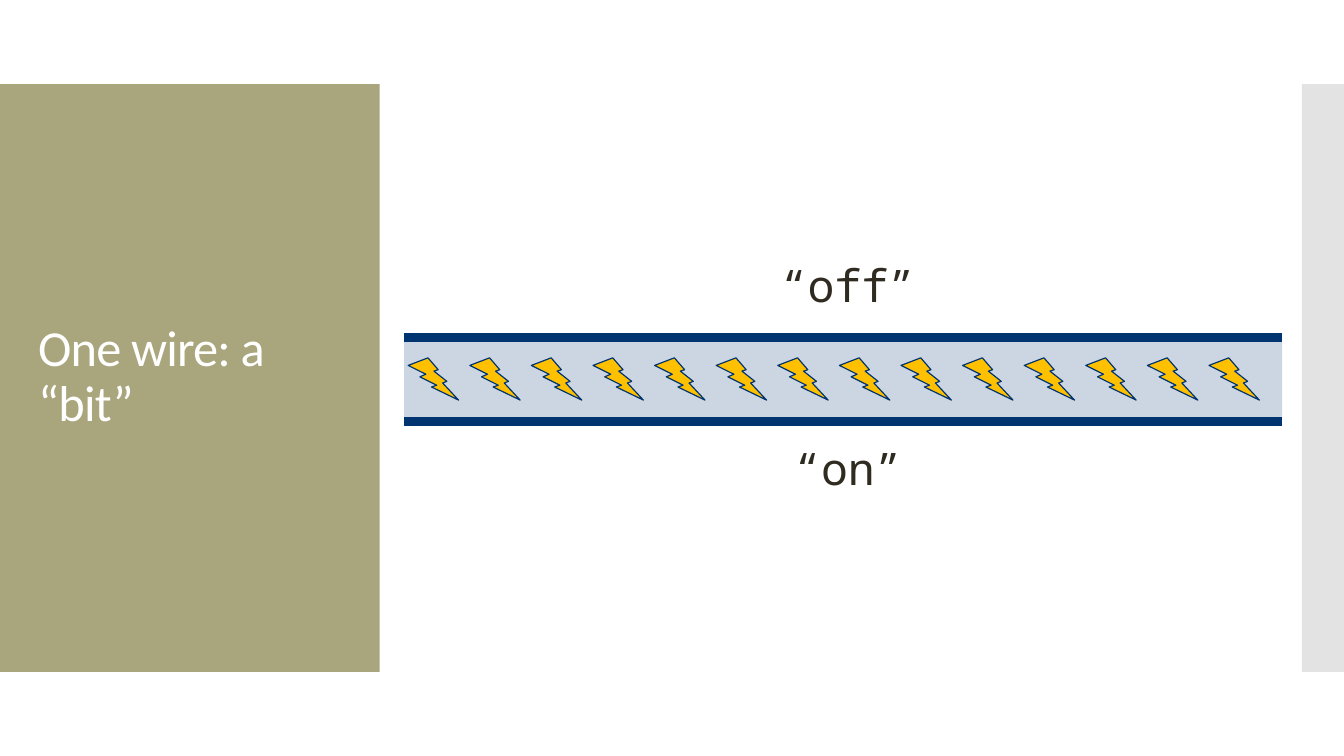
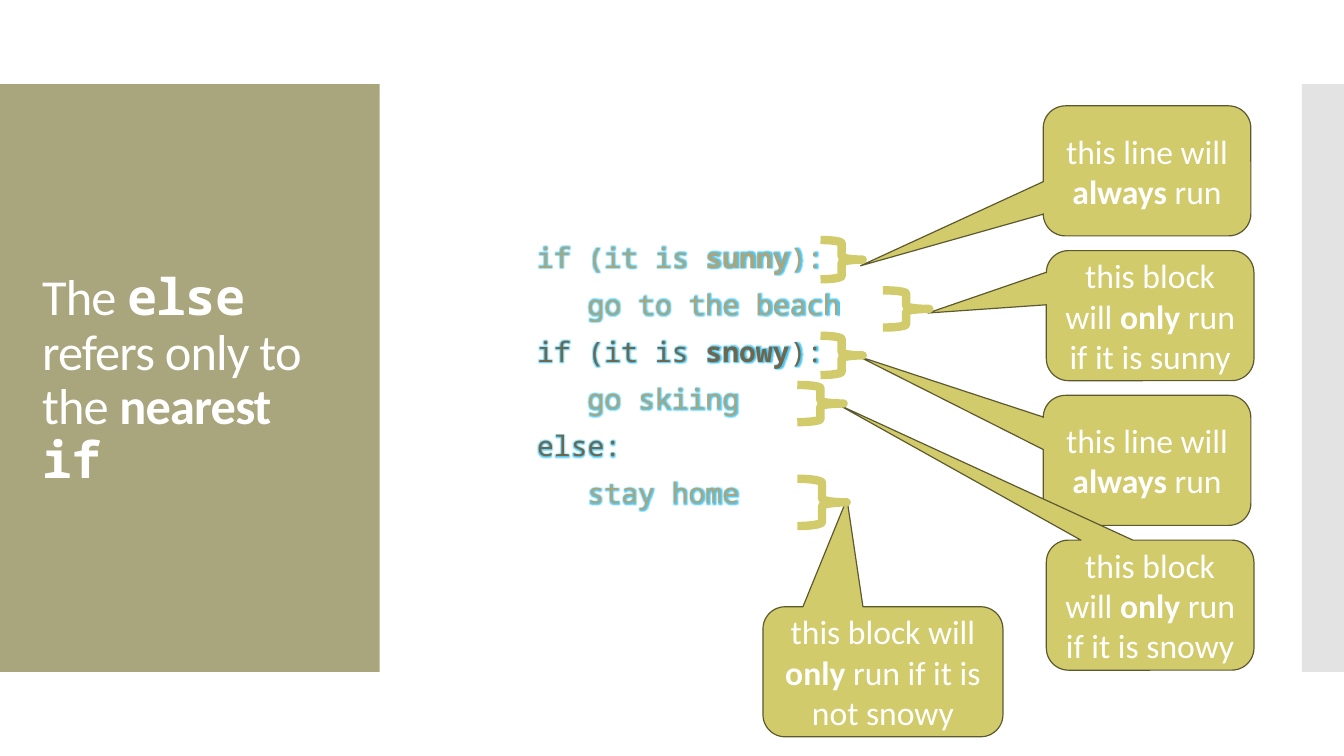
import pptx
import pptx.dml.color
import pptx.enum.shapes
import pptx.enum.text
import pptx.oxml
import pptx.oxml.ns
import pptx.util

Pt = pptx.util.Pt
SHAPE = pptx.enum.shapes.MSO_SHAPE
ALIGN = pptx.enum.text.PP_ALIGN
ANCHOR = pptx.enum.text.MSO_ANCHOR

SANS, MONO = "Calibri", "Noto Sans Mono"
WHITE, INK, SAGE, GREY = "FFFFFF", "2F2B20", "A9A57C", "C8C8C8"
NAVY, AMBER, OLIVE = "003470", "FFC000", "6F664C"
LIME, LIME_EDGE, GLOW = "D2CB6C", "5C592F", "4CC8F4"


def color(value):
    return pptx.dml.color.RGBColor.from_string(value)


def xml(tag, attributes="", inner=""):
    namespace = pptx.oxml.ns.nsdecls("a")
    return pptx.oxml.parse_xml(f"<a:{tag} {namespace} {attributes}>{inner}</a:{tag}>")


class Deck:
    def __init__(self):
        self.presentation = pptx.Presentation()
        self.presentation.slide_width = Pt(960)
        self.presentation.slide_height = Pt(540)
        self.slide = None

    def new_slide(self):
        """Start a slide with the side panel and the right-hand strip."""
        self.slide = self.presentation.slides.add_slide(self.presentation.slide_layouts[6])
        self.shape(SHAPE.RECTANGLE, 0, 60, 271.2, 420, SAGE)
        self.shape(SHAPE.RECTANGLE, 930, 60, 30, 420, GREY, alpha=50)

    def shape(self, kind, left, top, width, height, fill=None, line=None,
              weight=0.85, alpha=None, parent=None):
        shapes = (parent or self.slide).shapes
        shape = shapes.add_shape(kind, Pt(left), Pt(top), Pt(width), Pt(height))
        shape.shadow.inherit = False
        if fill:
            shape.fill.solid()
            shape.fill.fore_color.rgb = color(fill)
        else:
            shape.fill.background()
        if alpha:
            for element in shape.fill._xPr.iter(pptx.oxml.ns.qn("a:srgbClr")):
                element.append(xml("alpha", f'val="{alpha * 1000}"'))
        if line:
            shape.line.color.rgb = color(line)
            shape.line.width = Pt(weight)
        else:
            shape.line.fill.background()
        return shape

    def line(self, left, right, y, line, weight):
        connector = self.slide.shapes.add_connector(
            pptx.enum.shapes.MSO_CONNECTOR.STRAIGHT, Pt(left), Pt(y), Pt(right), Pt(y))
        connector.line.color.rgb = color(line)
        connector.line.width = Pt(weight)
        connector._element.spPr.append(xml("effectLst"))

    def runs(self, paragraph, parts, size, ink):
        """Each part is (text, bold, font name)."""
        for text, bold, name in parts:
            run = paragraph.add_run()
            run.text = text
            run.font.size = Pt(size)
            run.font.bold = bold
            run.font.name = name
            run.font.color.rgb = color(ink)

    def text_box(self, left, top, width, height, anchor=ANCHOR.MIDDLE):
        box = self.slide.shapes.add_textbox(Pt(left), Pt(top), Pt(width), Pt(height))
        box.text_frame.word_wrap = True
        box.text_frame.vertical_anchor = anchor
        return box.text_frame

    def title(self, left, top, width, height, parts):
        paragraph = self.text_box(left, top, width, height).paragraphs[0]
        paragraph.line_spacing = 0.9
        self.runs(paragraph, parts, 36, WHITE)
        for run in paragraph.runs:
            run._r.get_or_add_rPr().set("spc", "-60")

    def label(self, center, top, text):
        text_frame = self.text_box(center - 60, top, 120, 46, ANCHOR.TOP)
        paragraph = text_frame.paragraphs[0]
        paragraph.alignment = ALIGN.CENTER
        self.runs(paragraph, [(text, False, MONO)], 32, INK)

    def code(self, left, top, width, height, lines):
        """Each line is (ink, parts); the text has a soft glow."""
        text_frame = self.text_box(left, top, width, height)
        for index, (ink, parts) in enumerate(lines):
            paragraph = text_frame.add_paragraph() if index else text_frame.paragraphs[0]
            properties = paragraph._p.get_or_add_pPr()
            properties.set("marL", str(Pt(72)))
            properties.set("indent", "0")
            paragraph.line_spacing = 0.9
            if index:
                paragraph.space_before = Pt(12)
            self.runs(paragraph, [(text, bold, MONO) for text, bold in parts], 20, ink)
            for run in paragraph.runs:
                fill = run._r.rPr.find(pptx.oxml.ns.qn("a:solidFill"))
                fill.addnext(xml("effectLst", "", f'<a:glow rad="{Pt(3)}">'
                                 f'<a:srgbClr val="{GLOW}"/></a:glow>'))

    def callout(self, left, top, width, tip, before, strong, after):
        """The tip is measured from the centre, in widths and heights."""
        shape = self.shape(SHAPE.ROUNDED_RECTANGULAR_CALLOUT, left, top, width, 92.9,
                           LIME, LIME_EDGE)
        shape.adjustments[0], shape.adjustments[1] = tip
        shape.adjustments[2] = 0.17
        shape.text_frame.word_wrap = True
        shape.text_frame.vertical_anchor = ANCHOR.MIDDLE
        paragraph = shape.text_frame.paragraphs[0]
        paragraph.alignment = ALIGN.CENTER
        parts = [(before, False, SANS), (strong, True, SANS), (after, False, SANS)]
        self.runs(paragraph, parts, 24, WHITE)

    def brace(self, left, top, width, height):
        self.shape(SHAPE.RIGHT_BRACE, left, top, width, height, line=LIME, weight=6)


def wire_slide(deck):
    deck.new_slide()
    wire_left, wire_right, wire_top = 288.7, 915.8, 241.2
    deck.shape(SHAPE.RECTANGLE, wire_left, wire_top, wire_right - wire_left, 57, NAVY, alpha=20)
    deck.title(20.2, 88.6, 231.8, 362.2, [("One wire: a “bit”", False, SANS)])
    for y in (wire_top, wire_top + 59.8):
        deck.line(wire_left, wire_right, y, NAVY, 6)

    # Row of bolts along the wire
    bolts = deck.slide.shapes.add_group_shape()
    for index in range(14):
        deck.shape(SHAPE.LIGHTNING_BOLT, 291.6 + 44 * index, 255.6, 36, 30.2,
                   AMBER, NAVY, parent=bolts)

    deck.label(605.7, 180.7, "“off”")
    deck.label(605.7, 311, "“on”")


def else_slide(deck):
    deck.new_slide()
    deck.title(23, 174.2, 218.9, 195.8, [
        ("The ", False, SANS), ("else", True, MONO), (" refers only to the ", False, SANS),
        ("nearest ", True, SANS), ("if", True, MONO)])

    deck.code(304.6, 67.7, 576, 403.2, [
        (SAGE, [("if (it is ", False), ("sunny", True), ("):", False)]),
        (SAGE, [("\tgo to the beach", False)]),
        (OLIVE, [("if (it is ", False), ("snowy", True), ("):", False)]),
        (SAGE, [("\tgo skiing", False)]),
        (OLIVE, [("else:", False)]),
        (SAGE, [("\tstay home", False)])])

    # Note below the code
    deck.callout(545, 433.4, 171.4, (-0.15, -1.33), "this block will ", "only",
                 " run if it is not snowy")
    deck.brace(569.5, 342, 35.3, 33.8)

    # Column of notes, each with its brace
    always = ("this line will ", "always", " run")
    notes = [
        (745.2, (-1.38, 0.73), always, (586.1, 171.4, 30.2, 28.1)),
        (747.4, (-1.07, -0.02), ("this block will ", "only", " run if it is sunny"),
         (630.7, 207.4, 33.1, 26.6)),
        (745.2, (-1.39, -0.8), always, (586.1, 239.8, 30.2, 28.1)),
        (747.4, (-1.5, -1.54), ("this block will ", "only", " run if it is snowy"),
         (569.5, 275, 33.1, 26.6)),
    ]
    for index, (left, tip, words, brace) in enumerate(notes):
        deck.callout(left, 75.6 + 103.4 * index, 148.3, tip, *words)
        deck.brace(*brace)


def main():
    deck = Deck()
    wire_slide(deck)
    else_slide(deck)
    deck.presentation.save("out.pptx")


if __name__ == "__main__":
    main()
